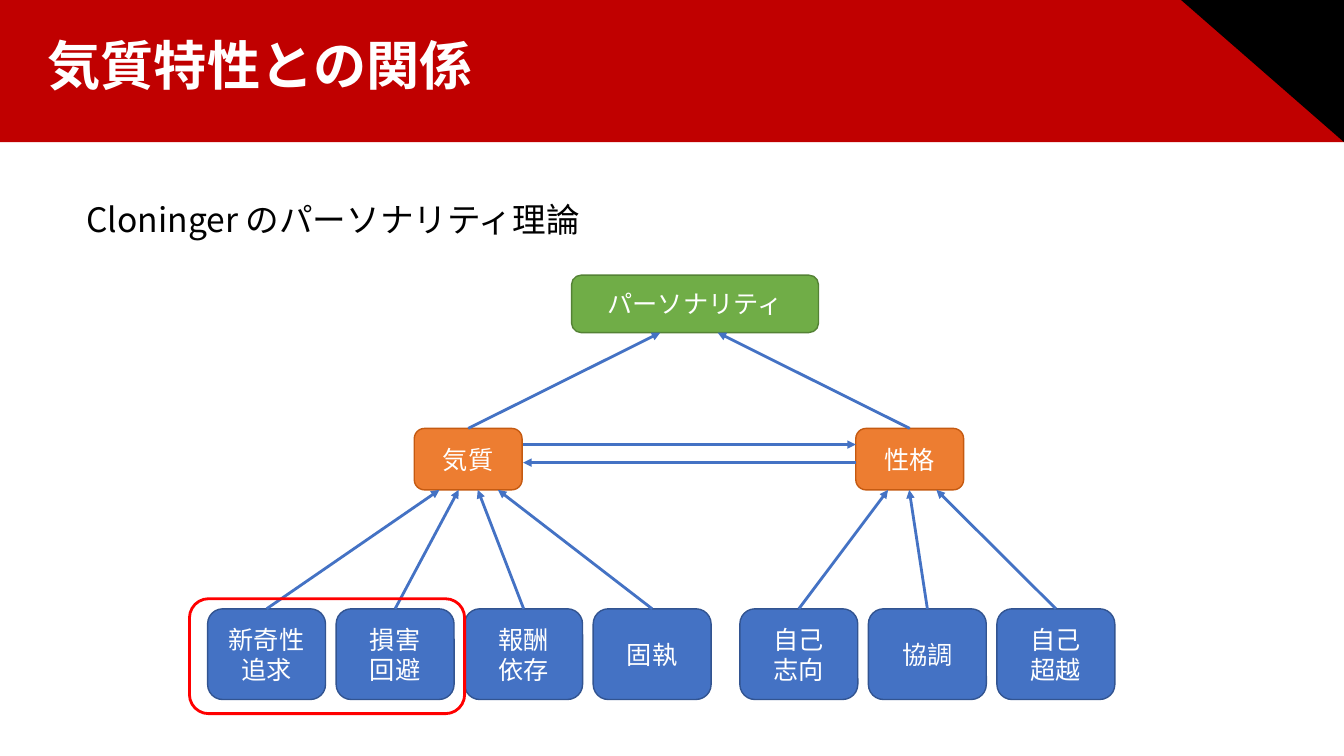
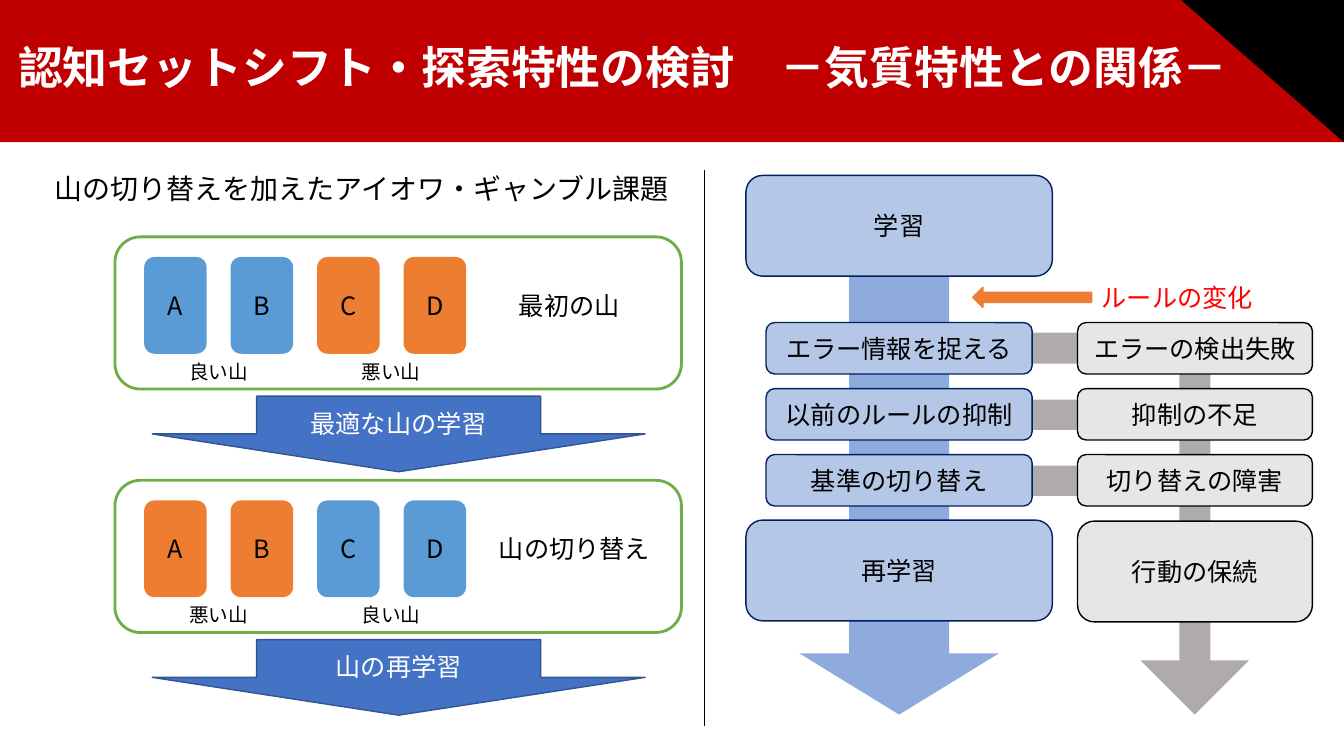
from dataclasses import dataclass

from lxml.etree import SubElement
from pptx import Presentation
from pptx.dml.color import RGBColor
from pptx.enum.shapes import MSO_CONNECTOR as Connector, MSO_SHAPE as Preset
from pptx.enum.text import MSO_ANCHOR as Anchor, MSO_AUTO_SIZE as AutoSize, PP_ALIGN as Align
from pptx.oxml.ns import qn
from pptx.util import Inches, Pt

COLUMNS, ROWS = 133.33, 75  # square grid cells, a tenth of an inch each


@dataclass(frozen=True)
class Theme:
    font: str = "Noto Sans CJK JP"
    # Type sizes
    title: int = 38
    long_title: int = 32
    lead: int = 24
    subhead: int = 20
    body: int = 18
    caption: int = 14
    # Colours
    white: str = "FFFFFF"
    black: str = "000000"
    band: str = "C00000"
    alert: str = "FF0000"
    blue: str = "4472C4"
    blue_edge: str = "325491"
    orange: str = "ED7D31"
    orange_edge: str = "C55A11"
    green: str = "70AD47"
    green_edge: str = "548235"
    sky: str = "5B9BD5"
    pale_blue: str = "B4C7E7"
    flow_blue: str = "8FAADC"
    navy: str = "002060"
    pale_grey: str = "E7E6E6"
    flow_grey: str = "AFABAB"


THEME = Theme()


class Deck:
    """Holds the style and the slide being filled."""

    def __init__(self, theme):
        self.theme = theme
        self.prs = Presentation()
        self.prs.slide_width = self.cells(COLUMNS)
        self.prs.slide_height = self.cells(ROWS)
        self.slide = None

    @staticmethod
    def cells(count):
        return Inches(count / 10)

    def place(self, at):
        return [self.cells(value) for value in at]

    def start_slide(self, title, at, size):
        """Add a slide with the red band, black corner and title."""
        t = self.theme
        self.slide = self.prs.slides.add_slide(self.prs.slide_layouts[5])
        self.box((0, 0, COLUMNS, 14.1), fill=t.band, preset=Preset.RECTANGLE)
        corner = self.box((117.17, 0, 16.16, 14.1), fill=t.black,
                          preset=Preset.RIGHT_TRIANGLE)
        corner.rotation = 180
        heading = self.slide.shapes.title
        heading.left, heading.top, heading.width, heading.height = self.place(at)
        self.set_text(heading, title, size, t.white, Align.LEFT, Anchor.MIDDLE,
                      bold=True, spacing=0.9)
        heading.element.getparent().append(heading.element)  # in front of the band

    def set_text(self, holder, text, size, color, align, anchor,
                 wrap=True, bold=False, spacing=None):
        frame = holder.text_frame
        frame.text = text
        frame.word_wrap = wrap
        frame.auto_size = AutoSize.NONE
        frame.vertical_anchor = anchor
        for paragraph in frame.paragraphs:
            paragraph.alignment = align
            paragraph.line_spacing = spacing
            font = paragraph.font
            font.name, font.size, font.bold = self.theme.font, Pt(size), bold
            font.color.rgb = RGBColor.from_string(color)
        # East Asian glyphs take the same font
        for latin in list(holder.element.iter(qn("a:latin"))):
            east_asian = latin.makeelement(qn("a:ea"), {"typeface": self.theme.font})
            latin.addnext(east_asian)

    def box(self, at, text="", fill=None, edge=None, color=THEME.white,
            preset=Preset.ROUNDED_RECTANGLE, weight=1, adjust=()):
        shape = self.slide.shapes.add_shape(preset, *self.place(at))
        shape.shadow.inherit = False
        for index, value in enumerate(adjust):
            shape.adjustments[index] = value
        if fill:
            shape.fill.solid()
            shape.fill.fore_color.rgb = RGBColor.from_string(fill)
        else:
            shape.fill.background()
        if edge:
            shape.line.color.rgb = RGBColor.from_string(edge)
            shape.line.width = Pt(weight)
        else:
            shape.line.fill.background()
        if text:
            self.set_text(shape, text, self.theme.body, color, Align.CENTER,
                          Anchor.MIDDLE)
        return shape

    def label(self, at, text, size=THEME.body, color=THEME.black, wrap=False):
        area = self.slide.shapes.add_textbox(*self.place(at))
        self.set_text(area, text, size, color, Align.LEFT, Anchor.TOP, wrap)

    def line(self, start, end, color=THEME.blue, weight=2, arrow=True):
        link = self.slide.shapes.add_connector(
            Connector.STRAIGHT, *self.place(start + end))
        link.line.color.rgb = RGBColor.from_string(color)
        link.line.width = Pt(weight)
        if arrow:
            SubElement(link.element.find(".//" + qn("a:ln")), qn("a:tailEnd"),
                       type="triangle")
        SubElement(link.element.find(qn("p:spPr")), qn("a:effectLst"))


def temperament_slide(deck):
    t = deck.theme
    deck.start_slide("気質特性との関係", (3.7, 3.2, 119.6, 7.2), t.title)
    deck.label((7.6, 19.2, 51.4, 5), "Cloninger のパーソナリティ理論", t.lead, wrap=True)

    # Personality, its two sides and their traits
    deck.box((56.7, 27.3, 24.5, 5.7), "パーソナリティ", t.green, t.green_edge)
    side_top, side_width, side_height = 42.5, 10.7, 6.1
    trait_top, trait_width, trait_step = 60.4, 11.7, 12.75
    sides = [
        ("気質", 41.1, 65.5, 20.6,
         [("新奇性追求", 43.6), ("損害\n回避", 45.5), ("報酬\n依存", 47.4), ("固執", 49.4)]),
        ("性格", 84.9, 71.2, 73.4,
         [("自己\n志向", 88.1), ("協調", 90.2), ("自己\n超越", 92.9)]),
    ]
    for side, left, top_tip, first_trait, traits in sides:
        deck.box((left, side_top, side_width, side_height), side, t.orange, t.orange_edge)
        deck.line((left + side_width / 2, side_top), (top_tip, 33))
        for index, (trait, tip) in enumerate(traits):
            trait_left = first_trait + index * trait_step
            deck.box((trait_left, trait_top, trait_width, 9), trait, t.blue, t.blue_edge)
            deck.line((trait_left + trait_width / 2, trait_top),
                      (tip, side_top + side_height))

    # Mutual influence
    deck.line((51.9, 44.1), (84.9, 44.1))
    deck.line((84.9, 45.9), (51.9, 45.9))

    # Traits in focus
    deck.box((18.8, 59.4, 27.3, 11.4), edge=t.alert, weight=2)


def card_task(deck):
    t = deck.theme
    deck.label((4.4, 16.5, 63.7, 4.4), "山の切り替えを加えたアイオワ・ギャンブル課題", t.subhead)
    good, bad = ("良い山", t.sky), ("悪い山", t.orange)
    stages = [
        ("最初の山", 50.5, 12.1, (good, bad), "最適な山の学習"),
        ("山の切り替え", 48.5, 17.2, (bad, good), "山の再学習"),
    ]
    for index, (stage, left, width, halves, learning) in enumerate(stages):
        top = 23.5 + index * 24.15
        deck.label((left, top + 4.8, width, 4), stage)
        for number, card in enumerate("ABCD"):
            deck.box((14.3 + number * 8.58, top + 2, 6.2, 9.6), card,
                     halves[number // 2][1], color=t.black)
        for half, (quality, _) in enumerate(halves):
            deck.label((17.8 + half * 17.1, top + 11.7, 7.9, 3.4), quality, t.caption)
        deck.box((11.4, top, 56.2, 15.1), edge=t.green, weight=2)
        deck.box((15.1, top + 15.8, 48.9, 7.5), learning, t.blue, t.blue_edge,
                 preset=Preset.DOWN_ARROW, adjust=(0.576, 0.5))


def learning_flow(deck):
    t = deck.theme
    step_top, step_gap, step_height = 32, 6.55, 5.1

    # Arrows and links behind the steps
    for row in (1, 2):
        deck.box((102, step_top + row * step_gap + 1.1, 16.1, 3), fill=t.flow_grey,
                 preset=Preset.RECTANGLE)
    failure = deck.box((102.4, 33, 21.5, 37.9), fill=t.flow_grey,
                       preset=Preset.BENT_UP_ARROW, adjust=(0.143, 0.25, 0.25))
    failure.element.find(".//" + qn("a:xfrm")).set("flipV", "1")
    deck.box((79.3, 17.6, 19.8, 53.3), fill=t.flow_blue,
             preset=Preset.DOWN_ARROW, adjust=(0.5, 0.307))

    # Successful steps and the matching failures
    steps = [("エラー情報を捉える", "エラーの検出失敗"),
             ("以前のルールの抑制", "抑制の不足"),
             ("基準の切り替え", "切り替えの障害")]
    success_style = dict(fill=t.pale_blue, edge=t.navy, color=t.black)
    failure_style = dict(fill=t.pale_grey, edge=t.black, color=t.black)
    for row, (success, lapse) in enumerate(steps):
        top = step_top + row * step_gap
        deck.box((76, top, 26.4, step_height), success, **success_style)
        deck.box((106.9, top, 23.3, step_height), lapse, **failure_style)
    for stage, top in (("学習", 17.4), ("再学習", 51.6)):
        deck.box((74, top, 30.4, 10), stage, **success_style)
    deck.box((106.9, 51.7, 23.3, 10), "行動の保続", **failure_style)

    # Change of rule
    deck.box((96.5, 28.5, 11.8, 2), fill=t.orange, edge=t.orange,
             preset=Preset.LEFT_ARROW)
    deck.label((108.3, 27.5, 17.2, 4), "ルールの変化", color=t.alert)


def set_shift_slide(deck):
    t = deck.theme
    deck.start_slide("認知セットシフト・探索特性の検討　－気質特性との関係－",
                     (0.8, 2.5, 123.7, 8.8), t.long_title)
    card_task(deck)
    deck.line((69.9, 16.9), (69.9, 72), t.black, weight=0.5, arrow=False)
    learning_flow(deck)


def main():
    deck = Deck(THEME)
    temperament_slide(deck)
    set_shift_slide(deck)
    deck.prs.save("out.pptx")


if __name__ == "__main__":
    main()
